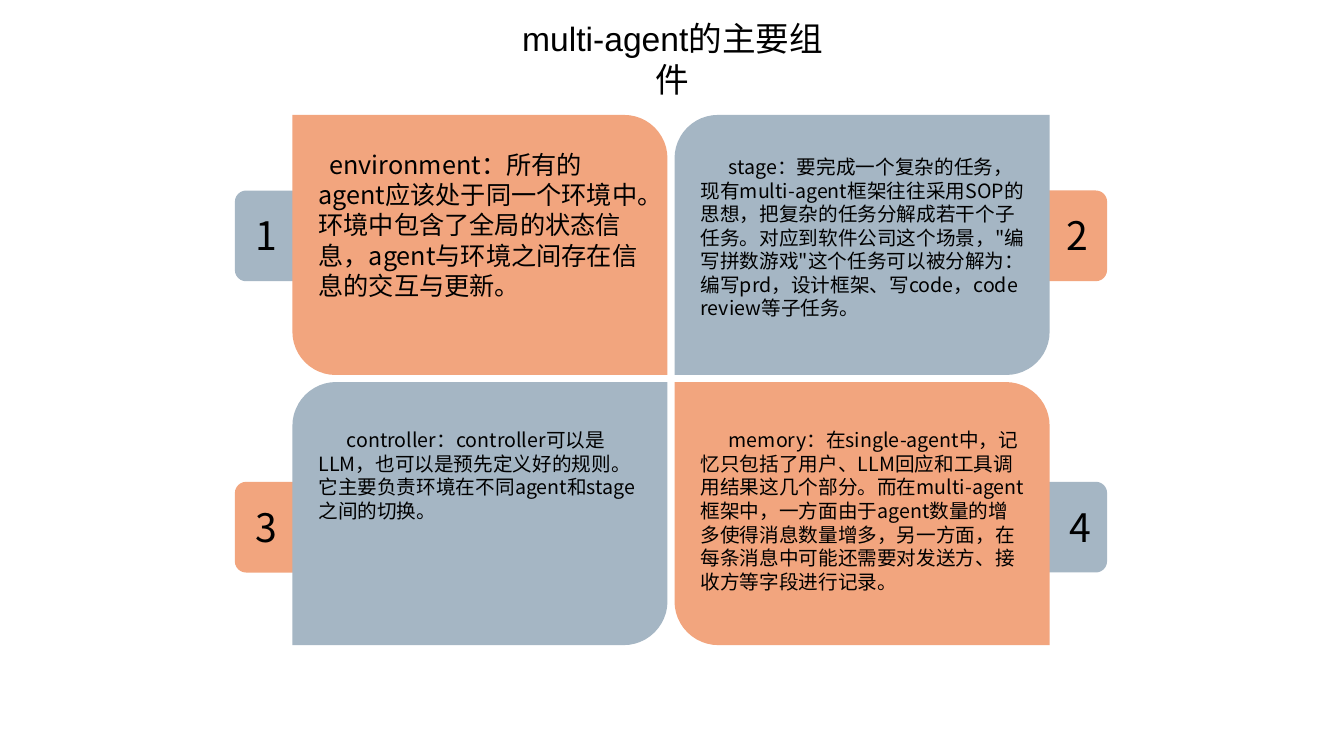
from lxml import etree
from pptx import Presentation
from pptx.dml.color import RGBColor
from pptx.enum.shapes import MSO_SHAPE
from pptx.enum.text import MSO_ANCHOR, MSO_AUTO_SIZE, PP_ALIGN
from pptx.oxml.ns import qn
from pptx.util import Inches, Pt

ORANGE = RGBColor(0xF2, 0xA5, 0x7E)
SLATE = RGBColor(0xA5, 0xB6, 0xC4)
BLACK = RGBColor(0, 0, 0)
LATIN_FONT = "Arial"
CJK_FONT = "Noto Sans CJK SC"
CENTER, LEFT = PP_ALIGN.CENTER, PP_ALIGN.LEFT
TOP = MSO_ANCHOR.TOP
NO_AUTOFIT = MSO_AUTO_SIZE.NONE
CARD_SHAPE = MSO_SHAPE.ROUND_2_DIAG_RECTANGLE
TAB_SHAPE = MSO_SHAPE.ROUND_2_SAME_RECTANGLE
TITLE_ONLY = 5

CARD_WIDTH = 3.72
TAB_LENGTH, TAB_DEPTH = 0.9, 0.67
LEFT_COLUMN, RIGHT_COLUMN = 2.9, 6.69
TOP_ROW, BOTTOM_ROW = 1.14, 3.79

COMPONENTS = [
    {"number": "1", "card": (LEFT_COLUMN, TOP_ROW, CARD_WIDTH, 2.58),
     "tab": (2.33, 1.89), "number_left": 2.47, "colors": (ORANGE, SLATE),
     "text_top": 1.43, "text_width": 3.38, "size": 18, "indent": 0.11,
     "text": "environment：所有的agent应该处于同一个环境中。环境中包含了全局的状态信息，"
             "agent与环境之间存在信息的交互与更新。"},
    {"number": "2", "card": (RIGHT_COLUMN, TOP_ROW, CARD_WIDTH, 2.58),
     "tab": (10.31, 1.89), "number_left": 10.52, "colors": (SLATE, ORANGE),
     "text_top": 1.49, "text_width": 3.42, "size": 14, "indent": 0.28,
     "text": "stage：要完成一个复杂的任务，现有multi-agent框架往往采用SOP的思想，"
             "把复杂的任务分解成若干个子任务。对应到软件公司这个场景，"
             "\"编写拼数游戏\"这个任务可以被分解为：编写prd，设计框架、写code，"
             "code review等子任务。"},
    {"number": "3", "card": (LEFT_COLUMN, BOTTOM_ROW, CARD_WIDTH, 2.61),
     "tab": (2.33, 4.78), "number_left": 2.47, "colors": (SLATE, ORANGE),
     "text_top": 4.2, "text_width": 3.42, "size": 14, "indent": 0.28,
     "text": "controller：controller可以是LLM，也可以是预先定义好的规则。"
             "它主要负责环境在不同agent和stage之间的切换。"},
    {"number": "4", "card": (RIGHT_COLUMN, BOTTOM_ROW, CARD_WIDTH, 2.61),
     "tab": (10.31, 4.78), "number_left": 10.55, "colors": (ORANGE, SLATE),
     "text_top": 4.2, "text_width": 3.42, "size": 14, "indent": 0.28,
     "text": "memory：在single-agent中，记忆只包括了用户、LLM回应和工具调用结果这几个部分。"
             "而在multi-agent框架中，一方面由于agent数量的增多使得消息数量增多，"
             "另一方面，在每条消息中可能还需要对发送方、接收方等字段进行记录。"},
]


def write_text(frame, text, size, font, align, indent=0):
    """Fill a text frame with one wrapped paragraph."""
    frame.word_wrap = True
    frame.auto_size = NO_AUTOFIT
    frame.vertical_anchor = TOP
    para = frame.paragraphs[0]
    para.alignment = align
    para.font.name = font
    para.font.size = Pt(size)
    para.font.color.rgb = BLACK
    span = para.add_run()
    span.text = text
    span.font.name = font
    properties = span.font._element
    east_asian = etree.SubElement(properties, qn("a:ea"))
    east_asian.set("typeface", CJK_FONT)
    if indent:
        para._p.get_or_add_pPr().set("indent", str(Inches(indent)))


def add_block(page, kind, box, color):
    """Add a plain filled preset shape."""
    block = page.shapes.add_shape(kind, *map(Inches, box))
    block.fill.solid()
    block.fill.fore_color.rgb = color
    block.line.fill.background()
    block.shadow.inherit = False
    return block


def add_title(page, box):
    """Place the centred slide title."""
    title = page.shapes.title
    title.left, title.top, title.width, title.height = map(Inches, box)
    write_text(title.text_frame, "multi-agent的主要组件", 24, LATIN_FONT, CENTER)


def add_tab(page, component):
    """Place the numbered tab that sticks out beside a card."""
    left, top = component["tab"]
    shift = (TAB_LENGTH - TAB_DEPTH) / 2
    box = (left - shift, top + shift, TAB_LENGTH, TAB_DEPTH)
    tab = add_block(page, TAB_SHAPE, box, component["colors"][1])
    tab.rotation = 270 if component["card"][0] == LEFT_COLUMN else 90
    number_box = (component["number_left"], top + 0.16, 0.34, 0.57)
    number = page.shapes.add_textbox(*map(Inches, number_box))
    number.text_frame.margin_left = number.text_frame.margin_right = 0
    write_text(number.text_frame, component["number"], 28, CJK_FONT, CENTER)


def add_card(page, component):
    """Place a card with two rounded corners and its description."""
    left, top, width, height = component["card"]
    color = component["colors"][0]
    card = add_block(page, CARD_SHAPE, component["card"], color)
    if color == ORANGE:
        card.adjustments[0], card.adjustments[1] = 0, 0.16667
    text_top = component["text_top"]
    text_box = (left + 0.16, text_top, component["text_width"],
                top + height - text_top - 0.3)
    body = page.shapes.add_textbox(*map(Inches, text_box))
    write_text(body.text_frame, component["text"], component["size"],
               CJK_FONT, LEFT, component["indent"])


def main():
    """Build the slide of four components."""
    deck = Presentation()
    deck.slide_width, deck.slide_height = Inches(13.33), Inches(7.5)
    page = deck.slides.add_slide(deck.slide_layouts[TITLE_ONLY])
    add_title(page, (4.95, 0.13, 3.44, 0.91))
    for component in COMPONENTS:
        add_tab(page, component)
        add_card(page, component)
    deck.save("out.pptx")


if __name__ == "__main__":
    main()
